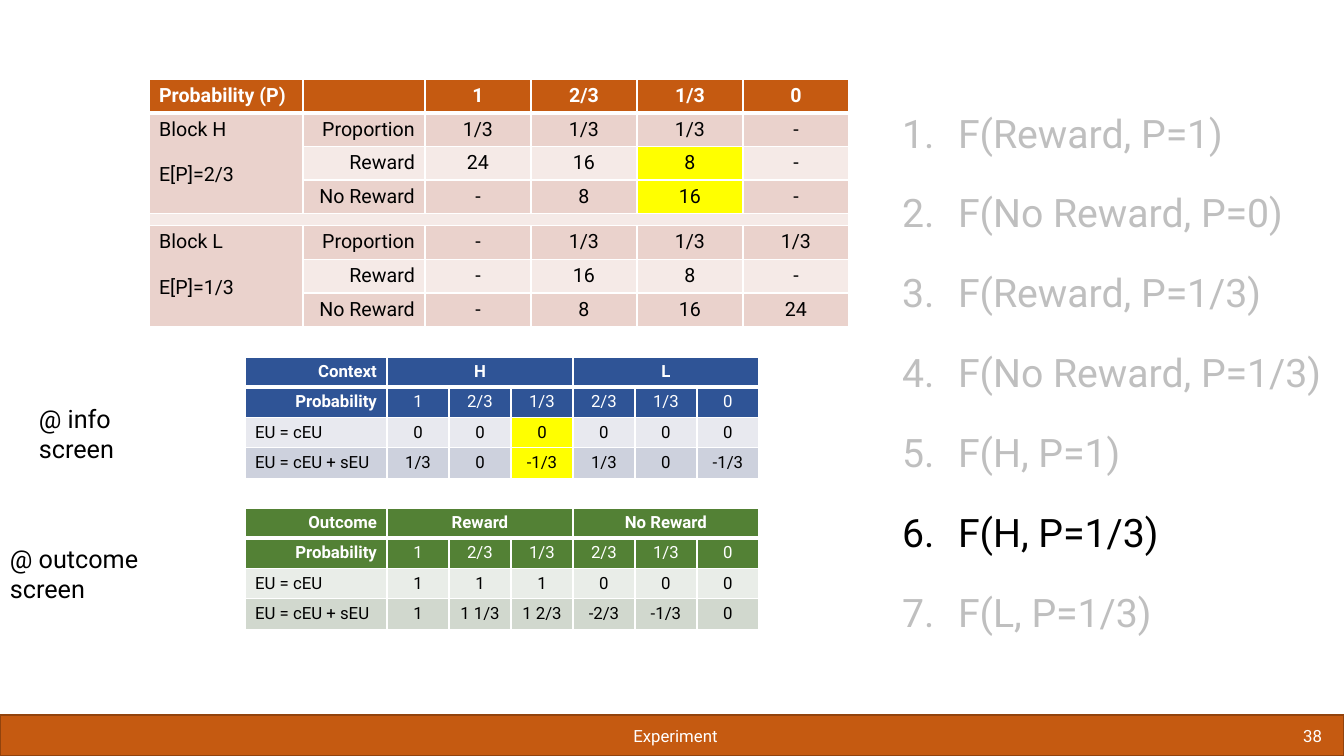
from lxml.etree import SubElement
from pptx import Presentation
from pptx.dml.color import RGBColor
from pptx.enum.shapes import MSO_SHAPE
from pptx.enum.text import MSO_ANCHOR, MSO_AUTO_SIZE, PP_ALIGN
from pptx.oxml.ns import qn
from pptx.util import Emu, Pt

EMU_PER_PX = 914400 / 100.8
FONT = "Roboto"
LEFT, CENTER, RIGHT = PP_ALIGN.LEFT, PP_ALIGN.CENTER, PP_ALIGN.RIGHT

WHITE = RGBColor(0xFF, 0xFF, 0xFF)
BLACK = RGBColor(0x00, 0x00, 0x00)
FADED = RGBColor(0xBF, 0xBF, 0xBF)
YELLOW = RGBColor(0xFF, 0xFF, 0x00)
ORANGE = RGBColor(0xC5, 0x5A, 0x11)
ORANGE_EDGE = RGBColor(0x92, 0x43, 0x0D)
BLUE = RGBColor(0x2F, 0x54, 0x96)
GREEN = RGBColor(0x53, 0x81, 0x35)
# Body bands: even rows, odd rows
ORANGE_BANDS = RGBColor(0xF5, 0xEA, 0xE7), RGBColor(0xEA, 0xD2, 0xCC)
BLUE_BANDS = RGBColor(0xE8, 0xE9, 0xEF), RGBColor(0xCD, 0xD1, 0xDD)
GREEN_BANDS = RGBColor(0xE9, 0xED, 0xE8), RGBColor(0xD1, 0xD8, 0xCE)

BLOCK_ROWS = [
    ["Probability (P)", "", "1", "2/3", "1/3", "0"],
    ["Block H\nE[P]=2/3", "Proportion", "1/3", "1/3", "1/3", "-"],
    ["", "Reward", "24", "16", "8", "-"],
    ["", "No Reward", "-", "8", "16", "-"],
    [""] * 6,
    ["Block L\nE[P]=1/3", "Proportion", "-", "1/3", "1/3", "1/3"],
    ["", "Reward", "-", "16", "8", "-"],
    ["", "No Reward", "-", "8", "16", "24"],
]
PROBABILITIES = ["Probability", "1", "2/3", "1/3", "2/3", "1/3", "0"]
INFO_ROWS = [
    ["Context", "H", "", "", "L", "", ""],
    PROBABILITIES,
    ["EU = cEU", "0", "0", "0", "0", "0", "0"],
    ["EU = cEU + sEU", "1/3", "0", "-1/3", "1/3", "0", "-1/3"],
]
OUTCOME_ROWS = [
    ["Outcome", "Reward", "", "", "No Reward", "", ""],
    PROBABILITIES,
    ["EU = cEU", "1", "1", "1", "0", "0", "0"],
    ["EU = cEU + sEU", "1", "1 1/3", "1 2/3", "-2/3", "-1/3", "0"],
]
CONTRASTS = [
    "F(Reward, P=1)", "F(No Reward, P=0)", "F(Reward, P=1/3)",
    "F(No Reward, P=1/3)", "F(H, P=1)", "F(H, P=1/3)", "F(L, P=1/3)",
]
CURRENT_CONTRAST = "F(H, P=1/3)"


def px(length):
    return Emu(round(length * EMU_PER_PX))


def style(paragraph, size, color, align=LEFT, bold=False):
    font = paragraph.font
    font.name, font.size, font.bold = FONT, Pt(size), bold
    font.color.rgb = color
    paragraph.alignment = align


def add_label(slide, box, words, size, color, align=LEFT, anchor=MSO_ANCHOR.TOP):
    frame = slide.shapes.add_textbox(*map(px, box)).text_frame
    frame.word_wrap = True
    frame.vertical_anchor = anchor
    frame.text = words
    style(frame.paragraphs[0], size, color, align)


def add_borders(cell, row):
    """Rule the cell in white, with a thick line under the top row."""
    top, bottom = (3 if row == 1 else 1), (3 if row == 0 else 1)
    for side, width in zip("LRTB", (1, 1, top, bottom)):
        line = SubElement(cell._tc.get_or_add_tcPr(), qn(f"a:ln{side}"), w=str(Pt(width)))
        fill = SubElement(line, qn("a:solidFill"))
        SubElement(fill, qn("a:srgbClr"), val=str(WHITE))


def fill_cell(cell, words, size, color, align, bold):
    cell.text = words.split("\n")[0]
    frame = cell.text_frame
    for extra in words.split("\n")[1:]:
        paragraph = frame.add_paragraph()
        paragraph.text = extra
        paragraph.space_before = Pt(16)
    for paragraph in frame.paragraphs:
        style(paragraph, size, color, align, bold)
        if not words:
            SubElement(paragraph._p, qn("a:endParaRPr"), sz=str(size * 100))


def add_grid(slide, corner, widths, heights, rows, head_rows, size, head_fill, bands,
             align_of, highlights=()):
    """Draw a banded table; align_of(row, column) gives each cell's alignment."""
    box = (*corner, sum(widths), sum(heights))
    table = slide.shapes.add_table(len(rows), len(widths), *map(px, box)).table
    table.first_row = table.horz_banding = False
    for column, width in zip(table.columns, widths):
        column.width = px(width)
    for r, (height, texts) in enumerate(zip(heights, rows)):
        table.rows[r].height = px(height)
        is_head, is_spacer = r < head_rows, not any(texts)
        for c, words in enumerate(texts):
            cell = table.cell(r, c)
            add_borders(cell, r)
            cell.fill.solid()
            cell.fill.fore_color.rgb = (
                YELLOW if (r, c) in highlights else head_fill if is_head else bands[r % 2])
            if is_spacer:
                cell.margin_top = cell.margin_bottom = 0
            fill_cell(cell, words, 1 if is_spacer else size, WHITE if is_head else BLACK,
                      align_of(r, c), r == 0 or (is_head and c == 0))
    return table


def add_block_table(slide, corner):
    table = add_grid(slide, corner, [154, 122] + [106] * 4, [33] * 4 + [12] + [33] * 3,
                     BLOCK_ROWS, 1, 14, ORANGE, ORANGE_BANDS,
                     lambda r, c: (LEFT, RIGHT)[c] if c < 2 else CENTER,
                     [(2, 4), (3, 4)])
    for first in (1, 5):
        table.cell(first, 0).merge(table.cell(first + 2, 0))
    table.cell(4, 0).merge(table.cell(4, 5))


def add_utility_table(slide, corner, rows, head_fill, bands, highlights=()):
    table = add_grid(slide, corner, [142] + [62] * 6, [30] * 4, rows, 2, 12,
                     head_fill, bands,
                     lambda r, c: CENTER if c else RIGHT if r < 2 else LEFT, highlights)
    for first in (1, 4):
        table.cell(0, first).merge(table.cell(0, first + 2))


def add_contrast_list(body, box):
    body.left, body.top, body.width, body.height = map(px, box)
    frame = body.text_frame
    frame.auto_size = MSO_AUTO_SIZE.NONE
    frame.text = "\n".join(CONTRASTS)
    for paragraph in frame.paragraphs:
        props = paragraph._p.get_or_add_pPr()
        props.set("marL", str(px(56)))
        props.set("indent", str(-px(56)))
        SubElement(props, qn("a:buFont"), typeface="+mj-lt")
        SubElement(props, qn("a:buAutoNum"), type="arabicPeriod")
        paragraph.line_spacing = 1.4
        paragraph.space_before = Pt(10)
        style(paragraph, 28, BLACK if paragraph.text == CURRENT_CONTRAST else FADED)


def add_footer(slide, box):
    left, top, width, height = box
    bar = slide.shapes.add_shape(MSO_SHAPE.RECTANGLE, *map(px, box))
    bar.shadow.inherit = False
    bar.fill.solid()
    bar.fill.fore_color.rgb = ORANGE
    bar.line.color.rgb = ORANGE_EDGE
    bar.line.width = Pt(1)
    add_label(slide, (left + 226, top, 899, height), "Experiment", 12, WHITE,
              CENTER, MSO_ANCHOR.MIDDLE)
    add_label(slide, (left + width - 220, top, 208, height), "38", 12, WHITE,
              RIGHT, MSO_ANCHOR.MIDDLE)


def main():
    deck = Presentation()
    deck.slide_width, deck.slide_height = px(1344), px(756)
    slide = deck.slides.add_slide(deck.slide_layouts[1])
    title, contrasts = slide.placeholders
    title.element.getparent().remove(title.element)

    add_footer(slide, (0, 715, 1344, 41))
    add_utility_table(slide, (245, 357), INFO_ROWS, BLUE, BLUE_BANDS, [(2, 3), (3, 3)])
    add_utility_table(slide, (245, 508), OUTCOME_ROWS, GREEN, GREEN_BANDS)
    add_block_table(slide, (149, 79))
    add_label(slide, (0, 538, 155, 70), "@ outcome screen", 18, BLACK)
    add_label(slide, (29, 398, 155, 70), "@ info screen", 18, BLACK)
    add_contrast_list(contrasts, (892, 85, 462, 562))
    deck.save("out.pptx")


if __name__ == "__main__":
    main()
